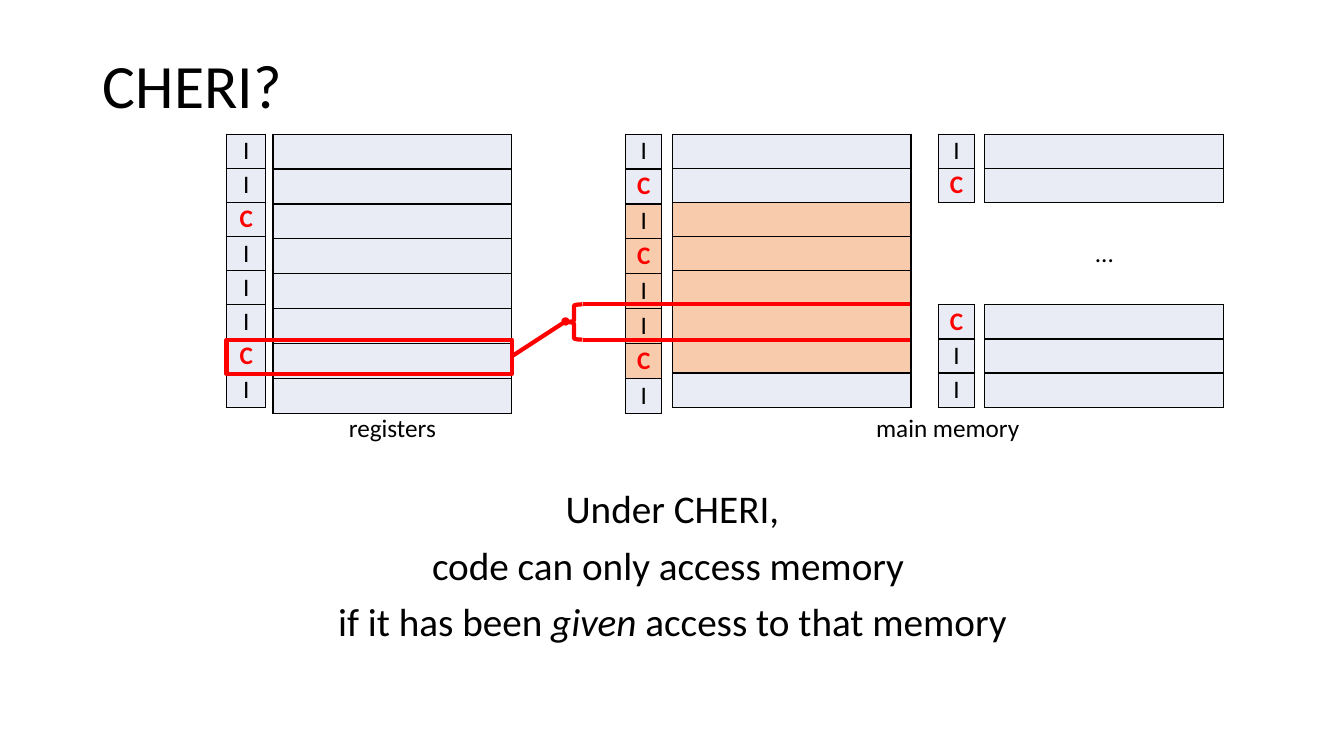
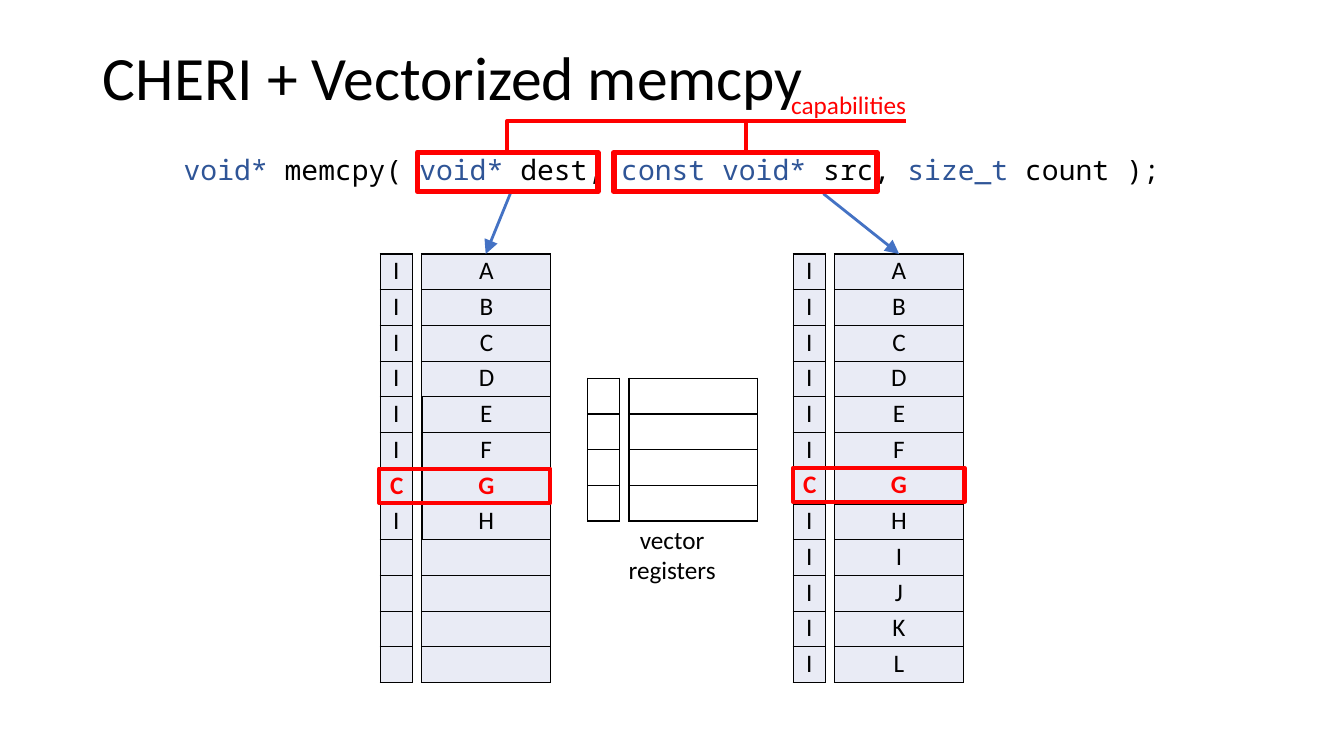
import lxml.etree
import pptx
import pptx.dml.color
import pptx.enum.shapes
import pptx.enum.text
import pptx.oxml.ns
import pptx.util
from pptx.util import Cm, Pt

# Shared colours and styles
RGBColor = pptx.dml.color.RGBColor
BLACK = RGBColor(0x00, 0x00, 0x00)
RED = RGBColor(0xFF, 0x00, 0x00)
ARROW_BLUE = RGBColor(0x44, 0x72, 0xC4)
TYPE_BLUE = RGBColor(0x2F, 0x55, 0x97)
CELL_FILLS = {"b": RGBColor(0xE9, 0xEB, 0xF5), "o": RGBColor(0xF8, 0xCB, 0xAD)}
# Borders of each kind of cell: left, right, top, bottom
CELL_EDGES = {"b": "LRTB", "o": "LRTB", "w": "LRTB",
              "l": "L", "r": "R", "-": ""}
PLAIN = {"name": "Calibri", "size": Pt(18), "bold": False, "italic": False}
ALIGN = pptx.enum.text.PP_ALIGN
ANCHOR = pptx.enum.text.MSO_ANCHOR
SHAPE = pptx.enum.shapes.MSO_SHAPE
qn = pptx.oxml.ns.qn


def write(frame, lines, align=ALIGN.CENTER, color=BLACK, spacing=None, **style):
    """Fill a text frame; each line is a list of (text, overrides)."""
    frame.word_wrap = True
    for index, line in enumerate(lines):
        para = frame.add_paragraph() if index else frame.paragraphs[0]
        para.alignment = align
        for name, value in (spacing or {}).items():
            setattr(para, name, value)
        for text, overrides in line:
            span = para.add_run()
            span.text = text
            values = {**PLAIN, "color": color, **style, **overrides}
            span.font.color.rgb = values.pop("color")
            for name, value in values.items():
                setattr(span.font, name, value)


def add_column(page, left, top, width, row_height, kinds, labels, red):
    """Draw a one-column table; one kind letter and one label per row."""
    count = len(kinds)
    table = page.shapes.add_table(count, 1, Cm(left), Cm(top), Cm(width),
                                  Cm(row_height * count)).table
    table.first_row = table.horz_banding = False
    edges = ["", *(CELL_EDGES[kind] for kind in kinds), ""]
    for row, kind in enumerate(kinds):
        table.rows[row].height = Cm(row_height)
        cell = table.cell(row, 0)
        cell.margin_left = cell.margin_right = Cm(0.25)
        cell.margin_top = cell.margin_bottom = Cm(0.04)
        # A cell also shows the edge of the cell above or below
        above, own, below = edges[row:row + 3]
        sides = {"L": "L" in own, "R": "R" in own,
                 "T": "T" in own or "B" in above,
                 "B": "B" in own or "T" in below}
        for side, visible in sides.items():
            border = lxml.etree.SubElement(cell._tc.get_or_add_tcPr(),
                                           qn("a:ln" + side), w=str(Pt(1)))
            paint = lxml.etree.SubElement(
                border, qn("a:solidFill" if visible else "a:noFill"))
            if visible:
                lxml.etree.SubElement(paint, qn("a:srgbClr"), val=str(BLACK))
        if kind in CELL_FILLS:
            cell.fill.solid()
            cell.fill.fore_color.rgb = CELL_FILLS[kind]
        else:
            cell.fill.background()
        label = labels[row].strip()
        if label:
            marked = label == red
            write(cell.text_frame, [[(label, {})]],
                  color=RED if marked else BLACK, bold=marked)


deck = pptx.Presentation()
deck.slide_width, deck.slide_height = Cm(33.87), Cm(19.05)

# Pages and titles
pages = []
for heading, height in [("CHERI?", 2.46), ("CHERI + Vectorized memcpy", 2.03)]:
    page = deck.slides.add_slide(deck.slide_layouts[5])
    title = page.shapes.title
    title.left, title.top, title.width, title.height = (
        Cm(2.34), Cm(1.01), Cm(29.21), Cm(height))
    title.text_frame.auto_size = pptx.enum.text.MSO_AUTO_SIZE.NONE
    title.text_frame.vertical_anchor = ANCHOR.MIDDLE
    write(title.text_frame, [[(heading, {})]], ALIGN.LEFT,
          spacing={"line_spacing": 0.9}, size=Pt(44))
    pages.append(page)
access_page, memcpy_page = pages

# Access page: registers and main memory, tag column beside value column
EMPTY = " " * 8
DOTS = ["", "", "", "...", "", "", "", ""]
for left, width, row_height, kinds, labels in [
    (5.71, 0.99, 0.86, "b" * 8, "IICIIICI"),
    (6.88, 6.02, 0.88, "b" * 8, EMPTY),
    (15.77, 0.91, 0.88, "bbooooob", "ICICIICI"),
    (16.94, 6.02, 0.86, "bbooooob", EMPTY),
    (23.65, 0.91, 0.86, "bb---bbb", "IC   CII"),
    (24.82, 6.02, 0.86, "bb---bbb", DOTS),
]:
    add_column(access_page, left, 3.38, width, row_height, kinds, labels, "C")

# Memcpy page: destination, source and vector registers, then copied rows
for left, top, width, kinds, labels, red in [
    (9.58, 6.4, 0.81, "b" * 12, "IIII" + EMPTY, "C"),
    (10.62, 6.4, 3.25, "b" * 12, EMPTY + "    ", "G"),
    (19.99, 6.4, 0.81, "b" * 12, "IIIIIICIIIII", "C"),
    (21.03, 6.4, 3.25, "b" * 12, "ABCDEFGHIJKL", "G"),
    (14.81, 9.53, 0.81, "wwww", EMPTY, "C"),
    (15.85, 9.53, 3.23, "wwww", EMPTY, "G"),
    (10.62, 6.4, 3.28, "----", "ABCD", "G"),
    (10.64, 10.01, 3.23, "llll", "EFGH", "G"),
    (9.58, 10.01, 0.81, "rrrr", "IICI", "C"),
]:
    add_column(memcpy_page, left, top, width, 0.9, kinds, labels, red)

# Captions, statement and code
statement = [
    [("Under CHERI,", {})],
    [("code can only access memory ", {})],
    [("if it has been ", {}), ("given", {"italic": True}),
     (" access to that memory", {})],
]
typed = {"color": TYPE_BLUE}
signature = [[("void* ", typed), ("memcpy( ", {}), ("void* ", typed),
              ("dest, ", {}), ("const void* ", typed), ("src, ", {}),
              ("size_t", typed), (" count );", {})]]
for page, place, anchor, lines, style in [
    (access_page, (6.88, 10.26, 6.02, 1.02), ANCHOR.TOP,
     [[("registers", {})]], {}),
    (access_page, (16.94, 10.26, 13.89, 1.02), ANCHOR.TOP,
     [[("main memory", {})]], {}),
    (access_page, (2.34, 11.44, 29.21, 5.72), ANCHOR.MIDDLE, statement,
     {"size": Pt(28),
      "spacing": {"line_spacing": 0.9, "space_before": Pt(10)}}),
    (memcpy_page, (3.85, 3.71, 26.16, 1.12), ANCHOR.TOP, signature,
     {"name": "Noto Sans Mono", "size": Pt(20)}),
    (memcpy_page, (14.78, 13.13, 4.32, 1.7), ANCHOR.MIDDLE,
     [[("vector", {})], [("registers", {})]], {}),
    (memcpy_page, (19.69, 2.13, 6.65, 1.02), ANCHOR.TOP,
     [[("capabilities", {})]], {"align": ALIGN.LEFT, "color": RED}),
]:
    box = page.shapes.add_textbox(*map(Cm, place))
    box.text_frame.vertical_anchor = anchor
    write(box.text_frame, lines, **style)

# Straight lines and pointers, with head shape and head size
for page, ends, color, weight, head, head_size in [
    (access_page, (12.88, 8.99, 14.25, 8.1), RED, 3, "oval", "sm"),
    (access_page, (14.68, 7.67, 22.94, 7.67), RED, 3, None, None),
    (access_page, (14.68, 8.56, 22.94, 8.56), RED, 3, None, None),
    (memcpy_page, (15.6, 4.83, 21.92, 4.83), ARROW_BLUE, 2, None, None),
    (memcpy_page, (20.75, 4.88, 22.66, 6.4), ARROW_BLUE, 2, "triangle", "lg"),
    (memcpy_page, (10.72, 4.83, 14.96, 4.83), ARROW_BLUE, 2, None, None),
    (memcpy_page, (12.88, 4.83, 12.24, 6.4), ARROW_BLUE, 2, "triangle", "lg"),
]:
    pointer = page.shapes.add_connector(
        pptx.enum.shapes.MSO_CONNECTOR.STRAIGHT, *map(Cm, ends))
    pointer.line.color.rgb = color
    pointer.line.width = Pt(weight)
    properties = pointer._element.spPr
    if head:
        lxml.etree.SubElement(properties.find(qn("a:ln")), qn("a:tailEnd"),
                              type=head, w=head_size, len=head_size)
    lxml.etree.SubElement(properties, qn("a:effectLst"))

# Red frames and the brace
outlines = []
for page, kind, place, weight in [
    (access_page, SHAPE.RECTANGLE, (5.71, 8.56, 7.19, 0.86), 3),
    (access_page, SHAPE.LEFT_BRACE, (14.25, 7.67, 0.43, 0.89), 3),
    (memcpy_page, SHAPE.RECTANGLE, (10.52, 3.84, 4.55, 0.99), 4),
    (memcpy_page, SHAPE.RECTANGLE, (15.47, 3.84, 6.63, 0.99), 4),
    (memcpy_page, SHAPE.RECTANGLE, (9.55, 11.81, 4.32, 0.86), 3),
    (memcpy_page, SHAPE.RECTANGLE, (19.99, 11.79, 4.32, 0.86), 3),
]:
    outlines.append((page.shapes.add_shape(kind, *map(Cm, place)), weight))

# Elbows from the pointer arguments to the capabilities label
for start, end in [(12.78, 22.83), (18.8, 22.78)]:
    elbow = memcpy_page.shapes.build_freeform(Cm(start), Cm(3.84))
    elbow.add_line_segments([(Cm(start), Cm(3.05)), (Cm(end), Cm(3.05))],
                            close=False)
    outlines.append((elbow.convert_to_shape(), 3))

for outline, weight in outlines:
    outline.shadow.inherit = False
    outline.fill.background()
    outline.line.color.rgb = RED
    outline.line.width = Pt(weight)

deck.save("out.pptx")
